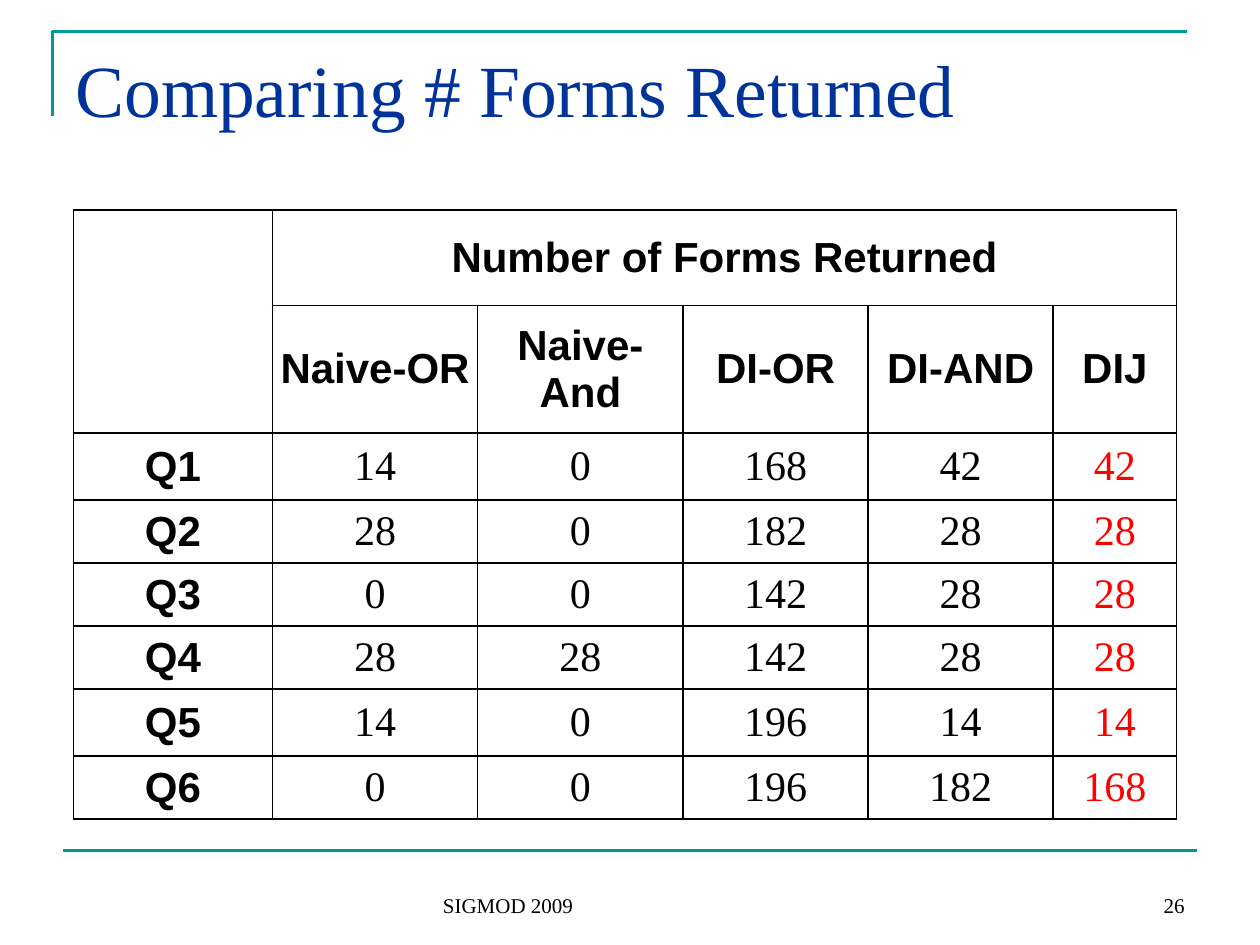
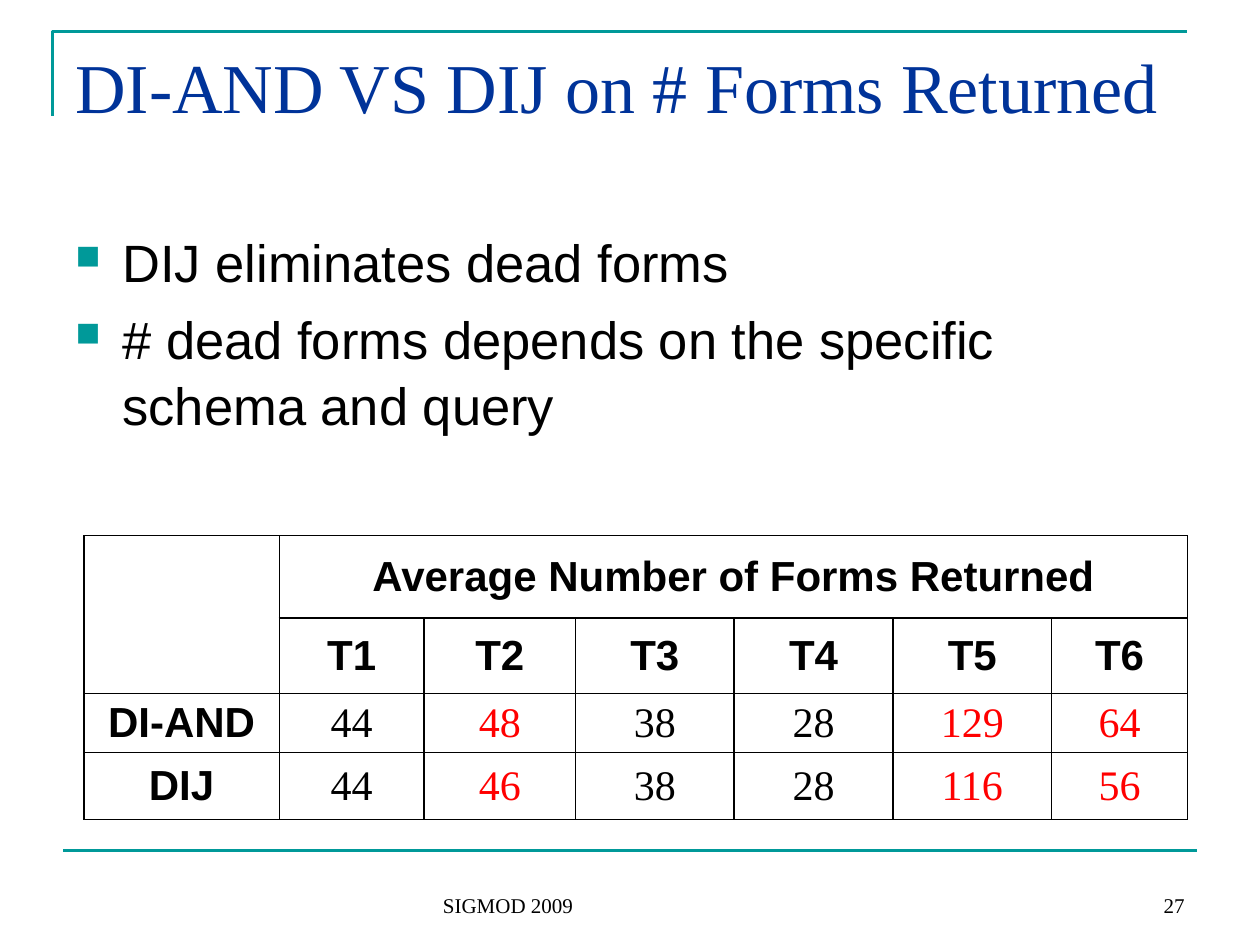
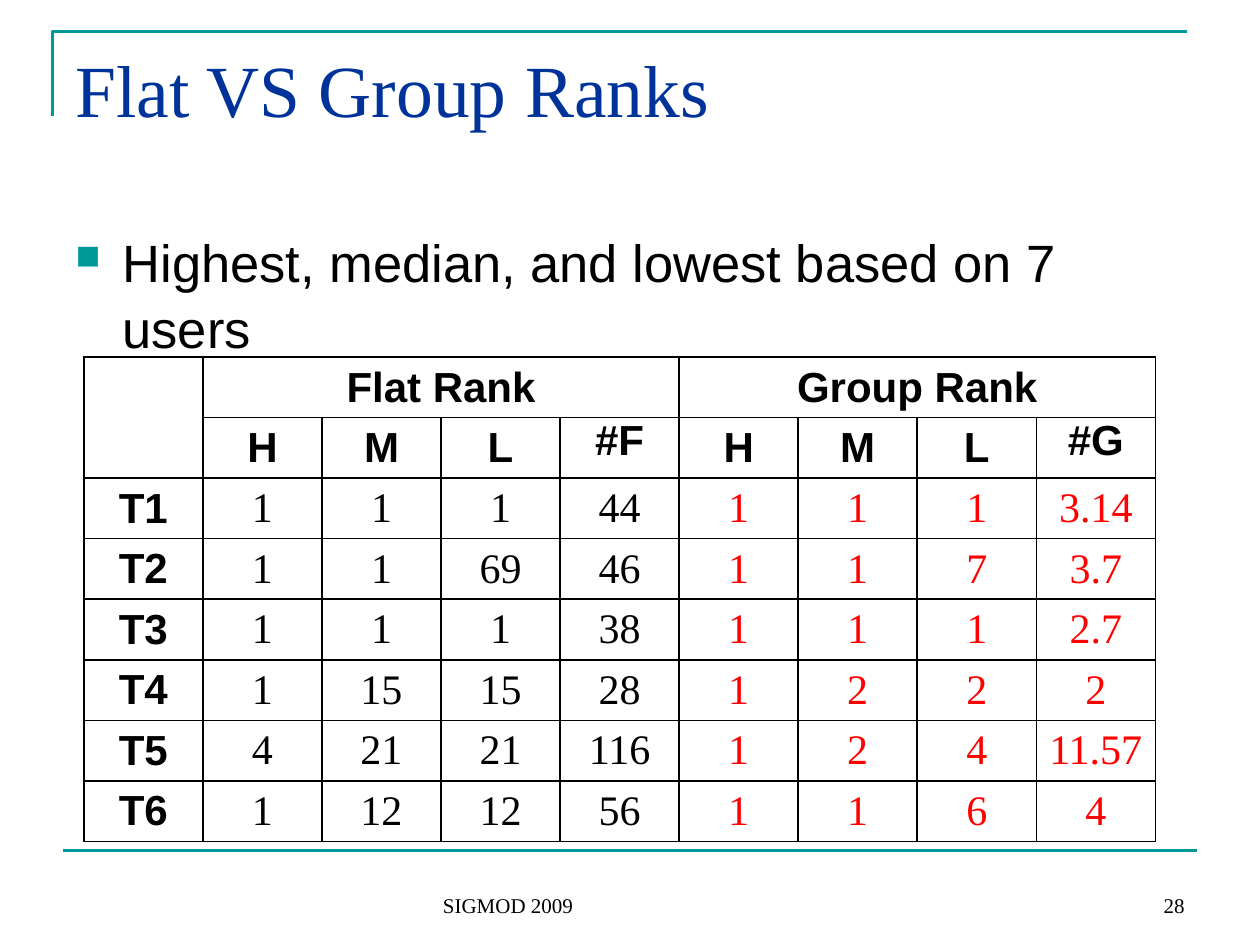
from lxml import etree
from pptx import Presentation
from pptx.dml.color import RGBColor
from pptx.enum import shapes, text
from pptx.oxml import parse_xml
from pptx.oxml.ns import nsdecls, qn
from pptx.util import Cm, Pt

SERIF, SANS = "Times New Roman", "Arial"
TEAL, BLUE, BLACK, RED = "009999", "003399", "000000", "FF0000"
LEFT, CENTER, RIGHT = text.PP_ALIGN.LEFT, text.PP_ALIGN.CENTER, text.PP_ALIGN.RIGHT
TOP, MIDDLE, BOTTOM = text.MSO_ANCHOR.TOP, text.MSO_ANCHOR.MIDDLE, text.MSO_ANCHOR.BOTTOM
FOOTER = "SIGMOD 2009"
FIRST = 26

# groups: (label, columns spanned); red: columns whose values are highlighted
SLIDES = [
    dict(
        title="Comparing # Forms Returned", size=42, bullets=[],
        at=(1.48, 4.23),
        cols=[4.01, 4.14, 4.14, 3.73, 3.73, 2.49],
        rows=[1.93, 2.57, 1.35, 1.27, 1.27, 1.27, 1.35, 1.27],
        groups=[("Number of Forms Returned", 5)],
        heads=["Naive-OR", "Naive-And", "DI-OR", "DI-AND", "DIJ"],
        red={5},
        data=[
            ("Q1", 14, 0, 168, 42, 42),
            ("Q2", 28, 0, 182, 28, 28),
            ("Q3", 0, 0, 142, 28, 28),
            ("Q4", 28, 28, 142, 28, 28),
            ("Q5", 14, 0, 196, 14, 14),
            ("Q6", 0, 0, 196, 182, 168),
        ],
    ),
    dict(
        title="DI-AND VS DIJ on # Forms Returned", size=40,
        bullets=["DIJ eliminates dead forms",
                 "# dead forms depends on the specific schema and query"],
        at=(1.69, 10.8),
        cols=[3.94, 2.92, 3.05, 3.2, 3.2, 3.2, 2.74],
        rows=[1.66, 1.52, 1.19, 1.35],
        groups=[("Average Number of Forms Returned", 6)],
        heads=["T1", "T2", "T3", "T4", "T5", "T6"],
        red={2, 5, 6},
        data=[
            ("DI-AND", 44, 48, 38, 28, 129, 64),
            ("DIJ", 44, 46, 38, 28, 116, 56),
        ],
    ),
    dict(
        title="Flat VS Group Ranks", size=42,
        bullets=["Highest, median, and lowest based on 7 users"],
        at=(1.69, 7.2),
        cols=[2.4] * 9,
        rows=[1.22] * 8,
        groups=[("Flat Rank", 4), ("Group Rank", 4)],
        heads=["H", "M", "L", "#F", "H", "M", "L", "#G"],
        red={5, 6, 7, 8},
        data=[
            ("T1", 1, 1, 1, 44, 1, 1, 1, 3.14),
            ("T2", 1, 1, 69, 46, 1, 1, 7, 3.7),
            ("T3", 1, 1, 1, 38, 1, 1, 1, 2.7),
            ("T4", 1, 15, 15, 28, 1, 2, 2, 2),
            ("T5", 4, 21, 21, 116, 1, 2, 4, 11.57),
            ("T6", 1, 12, 12, 56, 1, 1, 6, 4),
        ],
    ),
]


def rgb(code):
    return RGBColor.from_string(code)


def style(para, face, size, color, align=LEFT, bold=False):
    para.alignment = align
    font = para.font
    font.name, font.size, font.bold = face, Pt(size), bold
    font.color.rgb = rgb(color)


def add_box(slide, at, lines, anchor=TOP):
    """Add a wrapping text box and return its paragraphs."""
    frame = slide.shapes.add_textbox(*map(Cm, at)).text_frame
    frame.word_wrap = True
    frame.vertical_anchor = anchor
    frame.text = "\n".join(lines)
    return frame.paragraphs


def add_frame(slide, number):
    """Draw the corner line, the bottom rule and the footer."""
    pen = slide.shapes.build_freeform(Cm(1.06), Cm(2.33), scale=1.0)
    pen.add_line_segments([(Cm(1.06), Cm(0.64)), (Cm(23.92), Cm(0.64))], close=False)
    corner = pen.convert_to_shape()
    corner.fill.background()
    corner.shadow.inherit = False
    rule = slide.shapes.add_connector(
        shapes.MSO_CONNECTOR.STRAIGHT, Cm(1.27), Cm(17.15), Cm(24.13), Cm(17.15))
    etree.SubElement(rule._element.spPr, qn("a:effectLst"))
    for item in (corner, rule):
        item.line.color.rgb = rgb(TEAL)
        item.line.width = Pt(1.5)
    for label, left, width, align in ((FOOTER, 8.68, 8.04, LEFT),
                                      (str(number), 18.2, 5.93, RIGHT)):
        para, = add_box(slide, (left, 17.36, width, 1.27), [label], BOTTOM)
        style(para, SERIF, 12, BLACK, align)


def add_bullets(slide, lines):
    for i, para in enumerate(add_box(slide, (1.27, 4.45, 22.86, 2.22 * len(lines)), lines)):
        props = para._p.get_or_add_pPr()
        props.set("marL", str(Cm(0.95)))
        props.set("indent", str(Cm(-0.95)))
        for xml in (f'<a:buClr {nsdecls("a")}><a:srgbClr val="{TEAL}"/></a:buClr>',
                    f'<a:buSzPct {nsdecls("a")} val="65000"/>',
                    f'<a:buChar {nsdecls("a")} char="■"/>'):
            props.append(parse_xml(xml))
        para.line_spacing = 1.05
        if i:
            para.space_before = Pt(6)
        style(para, SANS, 30, BLACK)


def add_borders(cell):
    props = cell._tc.get_or_add_tcPr()
    for side in "LRTB":
        props.append(parse_xml(
            f'<a:ln{side} {nsdecls("a")} w="{Pt(1)}"><a:solidFill>'
            f'<a:srgbClr val="{BLACK}"/></a:solidFill></a:ln{side}>'))


def add_grid(slide, page):
    cols, rows = page["cols"], page["rows"]
    table = slide.shapes.add_table(
        len(rows), len(cols), *map(Cm, page["at"]), Cm(sum(cols)), Cm(sum(rows))).table
    table.first_row = table.horz_banding = False
    for part, width in zip(table.columns, cols):
        part.width = Cm(width)
    for part, height in zip(table.rows, rows):
        part.height = Cm(height)

    top = [""]
    for label, span in page["groups"]:
        table.cell(0, len(top)).merge(table.cell(0, len(top) + span - 1))
        top += [label] + [""] * (span - 1)
    table.cell(0, 0).merge(table.cell(1, 0))

    for r, line in enumerate([top, ["", *page["heads"]], *page["data"]]):
        for c, value in enumerate(line):
            cell = table.cell(r, c)
            label = str(value)
            head = r < 2 or c == 0
            cell.text = label
            cell.margin_left = cell.margin_right = Cm(0.05)
            cell.margin_top = cell.margin_bottom = 0
            cell.vertical_anchor = TOP if label.startswith("#") else MIDDLE
            add_borders(cell)
            cell.fill.background()
            color = RED if not head and c in page["red"] else BLACK
            style(cell.text_frame.paragraphs[0], SANS if head else SERIF, 24,
                  color, CENTER, head)


def main():
    deck = Presentation()
    deck.slide_width, deck.slide_height = Cm(25.4), Cm(19.05)
    for number, page in enumerate(SLIDES, FIRST):
        slide = deck.slides.add_slide(deck.slide_layouts[6])
        add_frame(slide, number)
        title, = add_box(slide, (1.27, 0.76, 23.5, 2.18), [page["title"]])
        style(title, SERIF, page["size"], BLUE)
        if page["bullets"]:
            add_bullets(slide, page["bullets"])
        add_grid(slide, page)
    deck.save("out.pptx")


if __name__ == "__main__":
    main()
